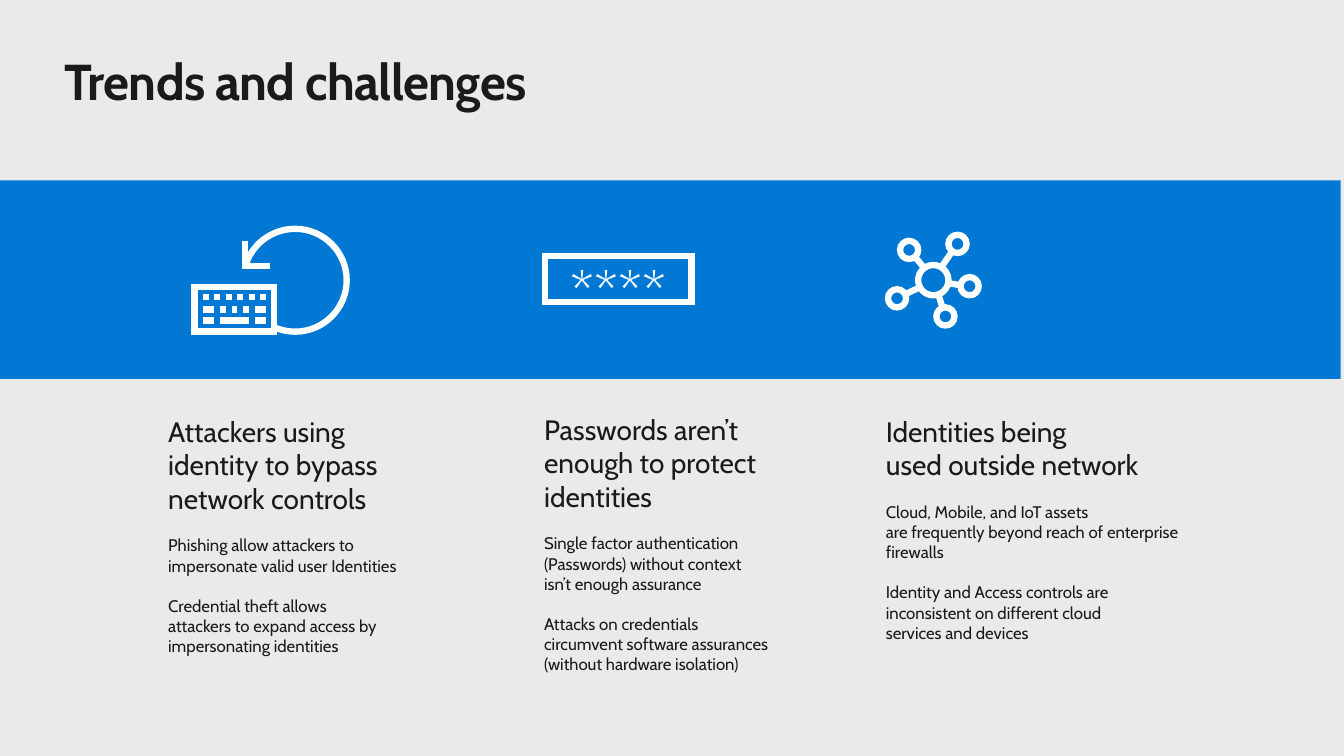
from pptx import Presentation
from pptx.dml.color import RGBColor
from pptx.enum.shapes import MSO_SHAPE
from pptx.enum.text import MSO_ANCHOR, PP_ALIGN
from pptx.util import Inches, Pt
from lxml.etree import SubElement
from pptx.oxml.ns import qn

HUES = {"page": "EAEAEA", "band": "0078D4", "ink": "1A1A1A", "white": "FFFFFF"}
FONT = "Cabin"
STROKE = Pt(4.5)
TAGS = {"M": "a:moveTo", "L": "a:lnTo", "C": "a:cubicBezTo", "Z": "a:close"}

TOPICS = [
    (1.57, 4.06, 2.95, 2.54, [
        "Attackers using \nidentity to bypass network controls",
        "Phishing allow attackers to impersonate valid user Identities",
        "Credential theft allows \nattackers to expand access by impersonating identities"]),
    (5.3, 4.04, 2.87, 3.15, [
        "Passwords aren’t enough to protect identities",
        "Single factor authentication (Passwords) without context \nisn’t enough assurance",
        "Attacks on credentials \ncircumvent software assurances (without hardware isolation)"]),
    (8.69, 4.06, 3.2, 2.4, [
        "Identities being \nused outside network",
        "Cloud, Mobile, and IoT assets \nare frequently beyond reach of enterprise firewalls",
        "Identity and Access controls are inconsistent on different cloud \nservices and devices"]),
]

KEYS = [
    (2.95, [(2.01 + 0.114 * i, 0.06) for i in range(6)]),
    (3.07, [(2.01, 0.11), (2.18, 0.06), (2.3, 0.05), (2.41, 0.06), (2.53, 0.11)]),
    (3.18, [(2.01, 0.11), (2.18, 0.29), (2.53, 0.11)]),
]

NODES = [
    (9.26, 2.78, 0.15), (9.5, 2.42, 0.09), (9.02, 2.48, 0.09),
    (8.9, 2.96, 0.09), (9.38, 3.14, 0.09), (9.62, 2.84, 0.09),
]
SPOKES = [
    (9.45, 2.49, 9.34, 2.65), (9.17, 2.66, 9.08, 2.55), (8.98, 2.92, 9.13, 2.85),
    (9.35, 3.05, 9.31, 2.92), (9.41, 2.81, 9.53, 2.83),
]


def hue(name):
    """Return a named colour."""
    return RGBColor.from_string(HUES[name])


def style(shape, fill=None, line=None):
    """Set fill and mitred outline, and drop the shadow."""
    shape.shadow.inherit = False
    if fill:
        shape.fill.solid()
        shape.fill.fore_color.rgb = hue(fill)
    else:
        shape.fill.background()
    if line:
        shape.line.color.rgb = hue(line)
        shape.line.width = STROKE
        outline = shape._element.spPr.find(qn("a:ln"))
        SubElement(outline, qn("a:miter"), lim="800000")
    else:
        shape.line.fill.background()
    return shape


def add_rect(slide, x, y, w, h, fill=None, line=None):
    """Add a styled rectangle."""
    shape = slide.shapes.add_shape(
        MSO_SHAPE.RECTANGLE, Inches(x), Inches(y), Inches(w), Inches(h))
    return style(shape, fill, line)


def add_icon(slide, x, y, w, h, steps, fill=None):
    """Add one outline made of moves, lines and curves."""
    pen = slide.shapes.build_freeform(Inches(x), Inches(y))
    pen.add_line_segments([(Inches(x + w), Inches(y + h))], close=False)
    icon = style(pen.convert_to_shape(), fill, "white")
    trace = icon._element.spPr.find(".//" + qn("a:path"))
    for child in list(trace):
        trace.remove(child)
    for kind, *spots in steps:
        step = SubElement(trace, qn(TAGS[kind]))
        for px, py in spots:
            SubElement(step, qn("a:pt"), x=str(Inches(px - x)), y=str(Inches(py - y)))


def dash(x1, y1, x2, y2):
    """Return the steps of a single line."""
    return [("M", (x1, y1)), ("L", (x2, y2))]


def ring(x, y, r):
    """Return the steps of a circle."""
    k = 0.55 * r
    steps = [("M", (x + r, y))]
    for c, s in ((1, 0), (0, 1), (-1, 0), (0, -1)):
        steps.append(("C", (x + c * r - s * k, y + s * r + c * k),
                      (x + c * k - s * r, y + s * k + c * r),
                      (x - s * r, y + c * r)))
    return steps + [("Z",)]


def add_text(para, text, size, color="ink", bold=False):
    """Add runs to a paragraph, with a break between lines."""
    for i, part in enumerate(text.split("\n")):
        if i:
            para.add_line_break()
        run = para.add_run()
        run.text = part
        run.font.name = FONT
        run.font.size = Pt(size)
        run.font.bold = bold
        run.font.color.rgb = hue(color)
    return run


def add_box(slide, x, y, w, h):
    """Add a wrapping text box and return its frame."""
    box = slide.shapes.add_textbox(Inches(x), Inches(y), Inches(w), Inches(h))
    box.text_frame.word_wrap = True
    return box.text_frame


def trim(frame):
    """Remove the insets of a text frame."""
    frame.margin_left = frame.margin_right = 0
    frame.margin_top = frame.margin_bottom = 0


def add_title(slide, text):
    """Add the slide title."""
    frame = add_box(slide, 0.64, 0.5, 12.05, 0.61)
    trim(frame)
    run = add_text(frame.paragraphs[0], text, 36, bold=True)
    run.font._element.set("spc", "-50")


def add_topic(slide, x, y, w, h, texts):
    """Add a heading with its points."""
    frame = add_box(slide, x, y, w, h)
    for i, text in enumerate(texts):
        para = frame.add_paragraph() if i else frame.paragraphs[0]
        para.space_after = Pt(12)
        if i:
            para.space_before = Pt(2.4)
        add_text(para, text, 12 if i else 20)


def draw_bypass(slide):
    """Draw the keyboard with its returning arrow."""
    add_icon(slide, 2.43, 2.27, 1.01, 1.02, [
        ("M", (2.43, 2.65)),
        ("C", (2.49, 2.43), (2.69, 2.27), (2.93, 2.27)),
        ("C", (3.21, 2.27), (3.44, 2.5), (3.44, 2.78)),
        ("C", (3.44, 3.06), (3.21, 3.29), (2.93, 3.29)),
        ("C", (2.69, 3.29), (2.49, 3.13), (2.43, 2.91)),
        ("M", (2.43, 2.39)), ("L", (2.43, 2.64)), ("L", (2.68, 2.64))])
    case = [("M", (2.72, 3.06))]
    for spot in ((2.72, 3.29), (1.93, 3.29), (1.93, 2.85), (2.72, 2.85), (2.72, 3.06)):
        case.append(("L", spot))
    for y, row in KEYS:
        for x, w in row:
            case += dash(x, y, x + w, y)
    add_icon(slide, 1.93, 2.85, 0.79, 0.44, case, "band")


def draw_code(slide):
    """Draw the password field."""
    field = add_rect(slide, 5.41, 2.54, 1.45, 0.46, line="white")
    frame = field.text_frame
    trim(frame)
    frame.vertical_anchor = MSO_ANCHOR.TOP
    para = frame.paragraphs[0]
    para.alignment = PP_ALIGN.CENTER
    add_text(para, "****", 40, "white")


def draw_net(slide):
    """Draw the hub with its nodes."""
    rings = [step for node in NODES for step in ring(*node)]
    spokes = [step for spoke in SPOKES for step in dash(*spoke)]
    add_icon(slide, 8.81, 2.33, 0.9, 0.9, rings + spokes)


def main():
    """Build the slide and save it."""
    deck = Presentation()
    deck.slide_width, deck.slide_height = Inches(40 / 3), Inches(7.5)
    slide = deck.slides.add_slide(deck.slide_layouts[6])
    slide.background.fill.solid()
    slide.background.fill.fore_color.rgb = hue("page")
    add_rect(slide, -0.03, 1.79, 13.33, 1.97, "band")
    add_title(slide, "Trends and challenges")
    for topic in TOPICS:
        add_topic(slide, *topic)
    draw_bypass(slide)
    draw_code(slide)
    draw_net(slide)
    deck.save("out.pptx")


if __name__ == "__main__":
    main()
